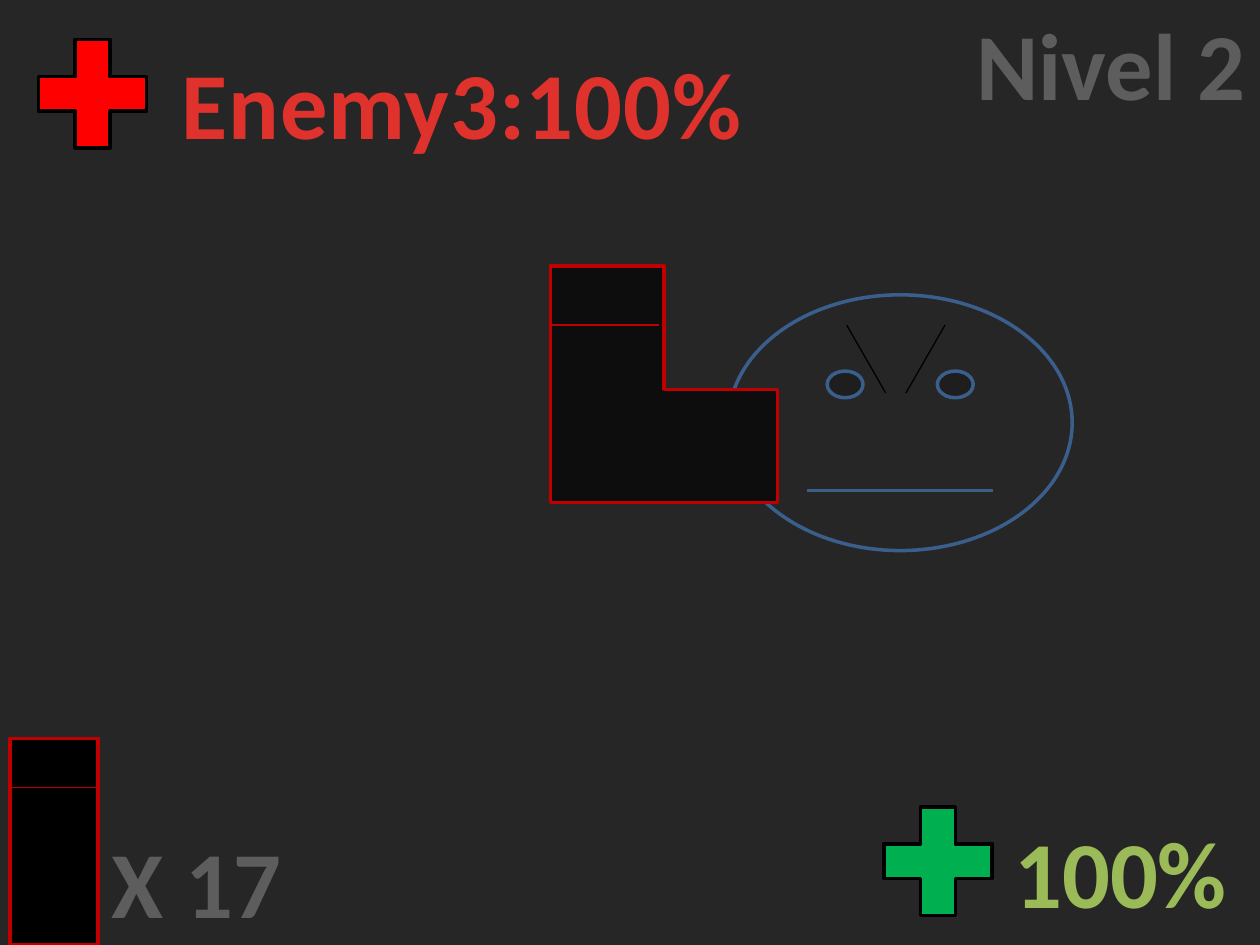
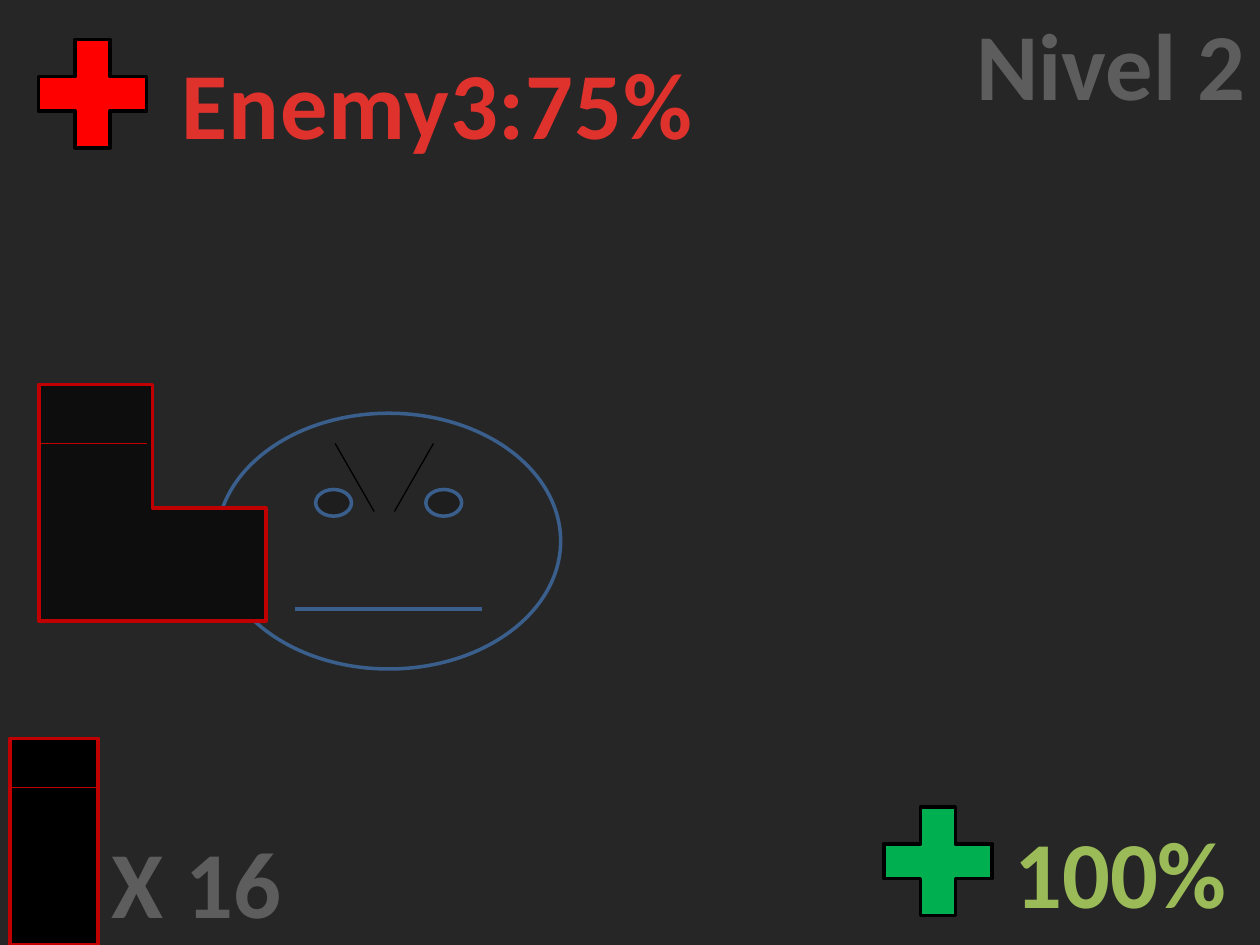
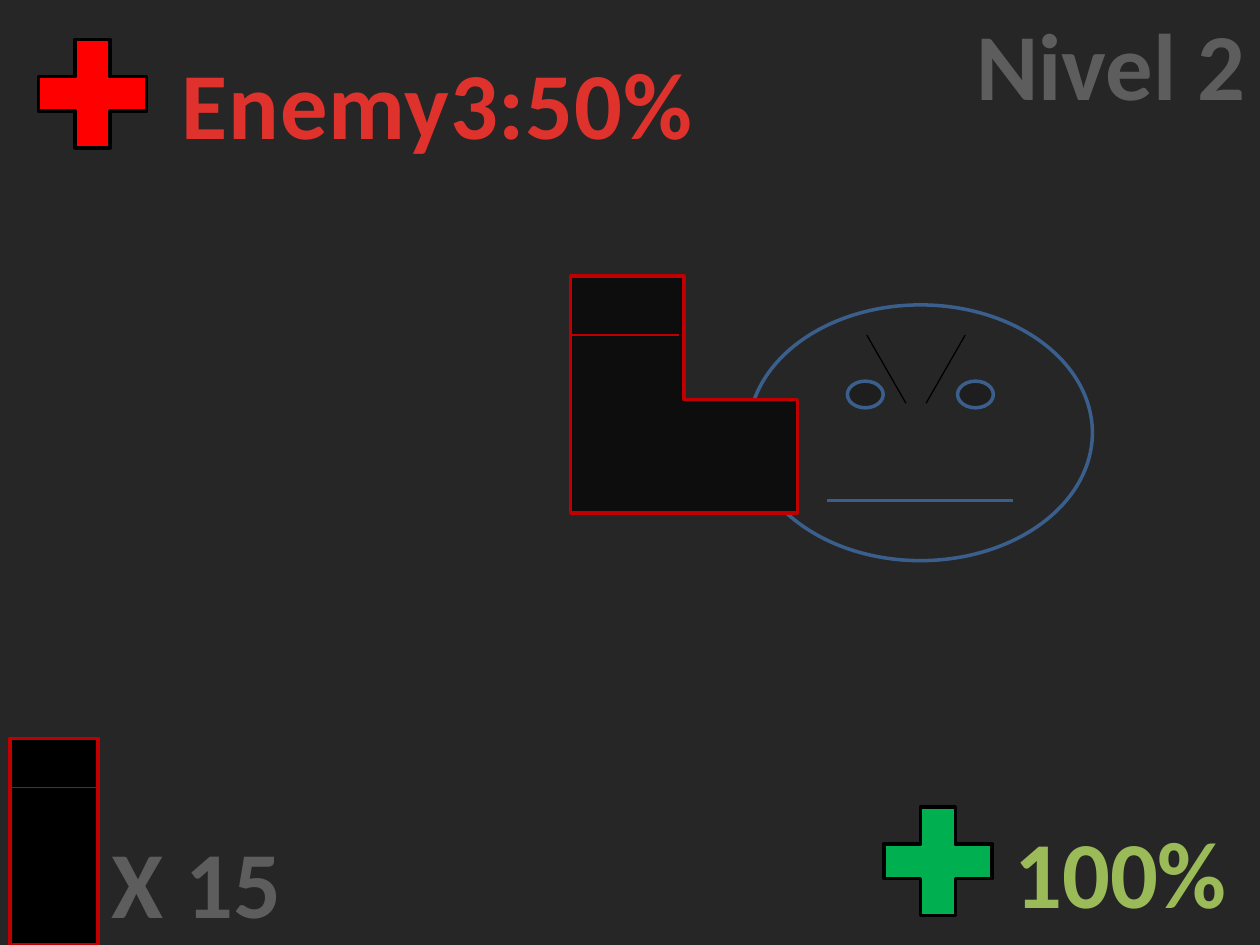
from lxml import etree
from pptx import Presentation
from pptx.dml.color import RGBColor
from pptx.enum.shapes import MSO_CONNECTOR, MSO_SHAPE
from pptx.enum.text import MSO_AUTO_SIZE, PP_ALIGN
from pptx.oxml.ns import qn
from pptx.util import Inches, Pt

STRAIGHT = MSO_CONNECTOR.STRAIGHT
RECTANGLE = MSO_SHAPE.RECTANGLE
PLUS = MSO_SHAPE.MATH_PLUS
FACE = MSO_SHAPE.SMILEY_FACE
BOOT = MSO_SHAPE.CORNER
CENTER = PP_ALIGN.CENTER
GROW = MSO_AUTO_SIZE.SHAPE_TO_FIT_TEXT

FONT = "Calibri"
BACKGROUND = "262626"
BLACK = "000000"
WHITE = "FFFFFF"
CRIMSON = "C00000"
RED = "FF0000"
GREEN = "00B050"
LIME = "9BBB59"
BLUE = "3A5F8C"
BOOT_FILL = "0D0D0D"
GRAY_STOPS = [(0, "555555"), (49, "5D5D5D"), (50, BLACK), (95, BLACK), (100, BLACK)]
RED_STOPS = [(25, "E0322D"), (100, "A2201C")]

LEVEL = "Nivel 2"
PLAYER_HEALTH = "100%"
# ammunition, enemy health, width of the health label, top left of the enemy
SCENES = [
    ("X 17", "Enemy3:100%", 4.69, (4.37, 2.11)),
    ("X 16", "Enemy3:75%", 4.3, (0.31, 3.05)),
    ("X 15", "Enemy3:50%", 4.3, (4.53, 2.19)),
]
PLUS_SIZE = 1.17
LABEL_HEIGHT = 1.01


def color(value):
    return RGBColor.from_string(value)


def add_shape(shapes, kind, left, top, width, height, fill, line):
    shape = shapes.add_shape(kind, Inches(left), Inches(top), Inches(width), Inches(height))
    shape.shadow.inherit = False
    shape.fill.solid()
    shape.fill.fore_color.rgb = color(fill)
    shape.line.color.rgb = color(line)
    shape.line.width = Pt(2)
    return shape


def add_line(shapes, start, end, line):
    connector = shapes.add_connector(STRAIGHT, *map(Inches, start + end))
    connector.line.color.rgb = color(line)
    connector.line.width = Pt(0.75)
    etree.SubElement(connector._element.spPr, qn("a:effectLst"))


def add_solid(parent, value):
    solid = etree.SubElement(parent, qn("a:solidFill"))
    etree.SubElement(solid, qn("a:srgbClr"), val=value)


def add_gradient(properties, stops):
    """Give a run a vertical gradient; stops are (percent, colour)."""
    gradient = etree.Element(qn("a:gradFill"))
    stop_list = etree.SubElement(gradient, qn("a:gsLst"))
    for percent, value in stops:
        stop = etree.SubElement(stop_list, qn("a:gs"), pos=str(percent * 1000))
        etree.SubElement(stop, qn("a:srgbClr"), val=value)
    etree.SubElement(gradient, qn("a:lin"), ang="5400000")
    properties.insert(0, gradient)


def add_outline(properties):
    outline = etree.Element(qn("a:ln"), w=str(Pt(1.4)))
    add_solid(outline, WHITE)
    properties.insert(0, outline)


def add_label(shapes, text, left, top, width):
    """Add a large bold label and return its run."""
    box = shapes.add_textbox(Inches(left), Inches(top), Inches(width), Inches(LABEL_HEIGHT))
    frame = box.text_frame
    frame.text = text
    frame.word_wrap = False
    frame.auto_size = GROW
    para = frame.paragraphs[0]
    para.alignment = CENTER
    span = para.runs[0]
    span.font.name = FONT
    span.font.size = Pt(54)
    span.font.bold = True
    return span


def add_gray_label(shapes, text, left, top, width):
    properties = add_label(shapes, text, left, top, width).font._element
    add_gradient(properties, GRAY_STOPS)
    add_outline(properties)


def add_plus(shapes, left, top, fill):
    add_shape(shapes, PLUS, left, top, PLUS_SIZE, PLUS_SIZE, fill, BLACK)


def add_group(page):
    return page.shapes.add_group_shape().shapes


def draw_ammunition(page, text):
    shapes = add_group(page)
    add_shape(shapes, RECTANGLE, 0.08, 5.86, 0.7, 1.64, BLACK, CRIMSON)
    add_line(shapes, (0.08, 6.25), (0.78, 6.25), CRIMSON)
    add_gray_label(shapes, text, 0.78, 6.49, 1.56)


def draw_enemy_health(page, text, width):
    shapes = add_group(page)
    properties = add_label(shapes, text, 1.32, 0.31, width).font._element
    properties.set("spc", "50")
    add_gradient(properties, RED_STOPS)
    add_plus(shapes, 0.15, 0.16, RED)


def draw_enemy(page, left, top):
    shapes = add_group(page)
    face = add_shape(shapes, FACE, left + 1.41, top + 0.23, 2.73, 2.03, BACKGROUND, BLUE)
    face.adjustments[0] = 0
    add_shape(shapes, BOOT, left, top, 1.8, 1.88, BOOT_FILL, CRIMSON)
    brow_top, brow_bottom = top + 0.47, top + 1.01
    for outer, inner in [(2.35, 2.66), (3.13, 2.82)]:
        add_line(shapes, (left + outer, brow_top), (left + inner, brow_bottom), BLACK)
    add_line(shapes, (left, brow_top), (left + 0.86, brow_top), CRIMSON)


def draw_player_health(page):
    shapes = add_group(page)
    add_plus(shapes, 6.86, 6.25, GREEN)
    span = add_label(shapes, PLAYER_HEALTH, 7.94, 6.41, 1.91)
    span.font.color.rgb = color(LIME)


def main():
    deck = Presentation()
    deck.slide_width, deck.slide_height = Inches(10), Inches(7.5)
    for ammunition, enemy_health, label_width, enemy_place in SCENES:
        page = deck.slides.add_slide(deck.slide_layouts[6])
        page.background.fill.solid()
        page.background.fill.fore_color.rgb = color(BACKGROUND)
        draw_ammunition(page, ammunition)
        draw_enemy_health(page, enemy_health, label_width)
        draw_enemy(page, *enemy_place)
        add_gray_label(page.shapes, LEVEL, 7.64, 0, 2.36)
        draw_player_health(page)
    deck.save("out.pptx")


if __name__ == "__main__":
    main()
